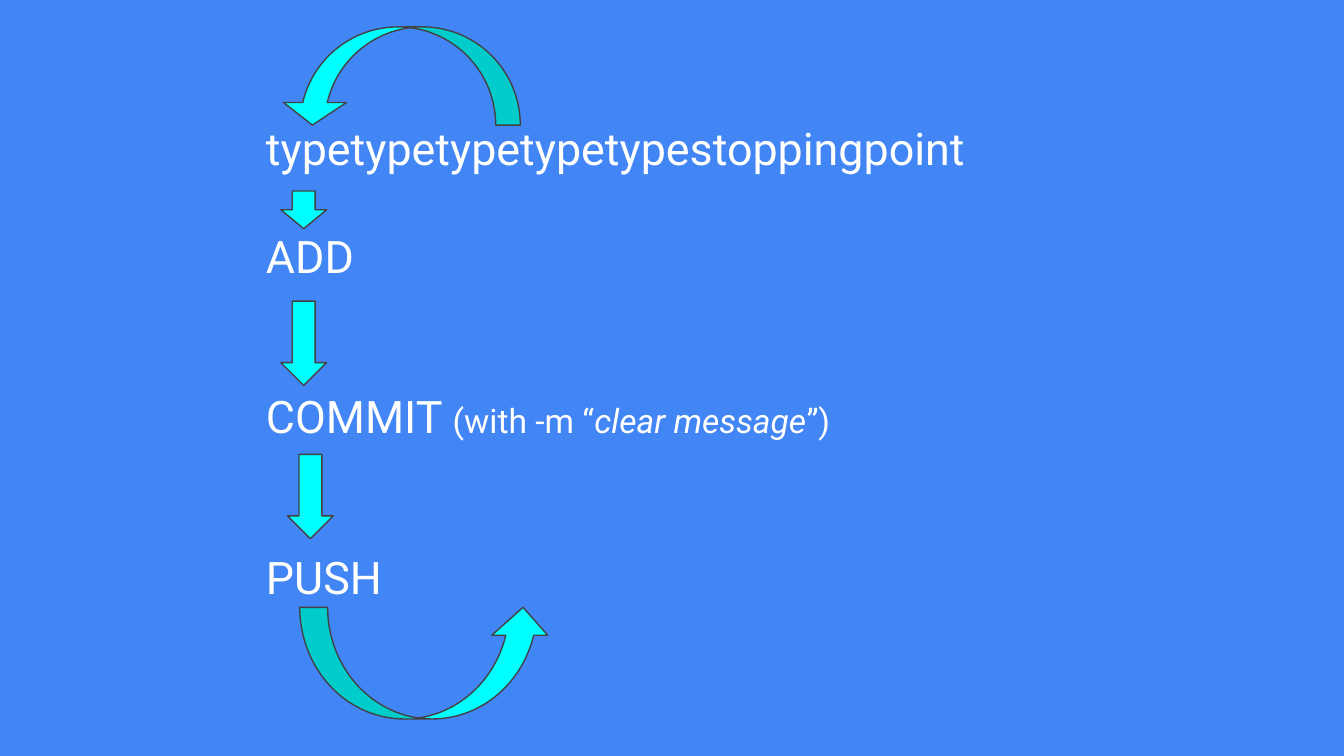
from pptx import Presentation
from pptx.dml.color import RGBColor
from pptx.enum import shapes, text
from pptx.util import Pt

BLUE = RGBColor(0x42, 0x85, 0xF4)
CYAN = RGBColor(0x00, 0xFF, 0xFF)
GREY = RGBColor(0x42, 0x42, 0x42)
WHITE = RGBColor(0xFF, 0xFF, 0xFF)

FONT = "Roboto"
LINE = 28.7  # height of one line of step text

# Each step: blank lines' worth of space before it, and its (text, size, italic) runs
STEPS = [
    (0, [("typetypetypetypetypestoppingpoint", 24, False)]),
    (1, [("ADD", 24, False)]),
    (2, [("COMMIT ", 24, False), ("(with -m “", 18, False),
         ("clear message", 18, True), ("”)", 18, False)]),
    (2, [("PUSH", 24, False)]),
]


def add_steps(slide, left, top, width, height):
    """Place the workflow steps as one text box."""
    box = slide.shapes.add_textbox(Pt(left), Pt(top), Pt(width), Pt(height))
    frame = box.text_frame
    frame.word_wrap = True
    frame.vertical_anchor = text.MSO_ANCHOR.TOP
    frame.margin_left = frame.margin_right = Pt(7.2)
    frame.margin_top = frame.margin_bottom = Pt(7.2)
    for index, (gap, runs) in enumerate(STEPS):
        paragraph = frame.add_paragraph() if index else frame.paragraphs[0]
        paragraph.space_before = Pt(gap * LINE)
        paragraph.font.name = FONT
        paragraph.font.color.rgb = WHITE
        for words, size, italic in runs:
            run = paragraph.add_run()
            run.text = words
            run.font.size = Pt(size)
            run.font.italic = italic


def add_arrow(slide, kind, box, adjustments, rotation=0):
    """Place one outlined block arrow in a (left, top, width, height) box."""
    arrow = slide.shapes.add_shape(kind, *map(Pt, box))
    for index, value in enumerate(adjustments):
        arrow.adjustments[index] = value
    arrow.rotation = rotation
    arrow.shadow.inherit = False
    arrow.fill.solid()
    arrow.fill.fore_color.rgb = CYAN
    arrow.line.color.rgb = GREY
    arrow.line.width = Pt(0.75)


def add_arrows(slide, left, top):
    """Place the arrows between the steps and the two loops around them."""
    # Straight arrows, from the last step up to the first
    for x, y, height in [(3.6, 229, 45.2), (0, 146.9, 45.2), (0, 87.9, 20.2)]:
        add_arrow(slide, shapes.MSO_SHAPE.DOWN_ARROW,
                  (left + x, top + y, 24.5, height), (0.5, 0.5))
    # Loop below the last step
    curve = shapes.MSO_SHAPE.CURVED_UP_ARROW
    add_arrow(slide, curve, (left + 10.1, top + 311, 134.6, 59.8), (0.25, 0.5, 0.25))
    # Loop above the first step
    add_arrow(slide, curve, (left, top, 128.2, 52.6), (0.25, 0.64, 0.23), 180)


def main():
    presentation = Presentation()
    presentation.slide_width = Pt(720)
    presentation.slide_height = Pt(405)
    slide = presentation.slides.add_slide(presentation.slide_layouts[6])
    slide.background.fill.solid()
    slide.background.fill.fore_color.rgb = BLUE
    add_steps(slide, 135.4, 57.6, 468.7, 252)
    add_arrows(slide, 150.5, 14.4)
    presentation.save("out.pptx")


if __name__ == "__main__":
    main()
